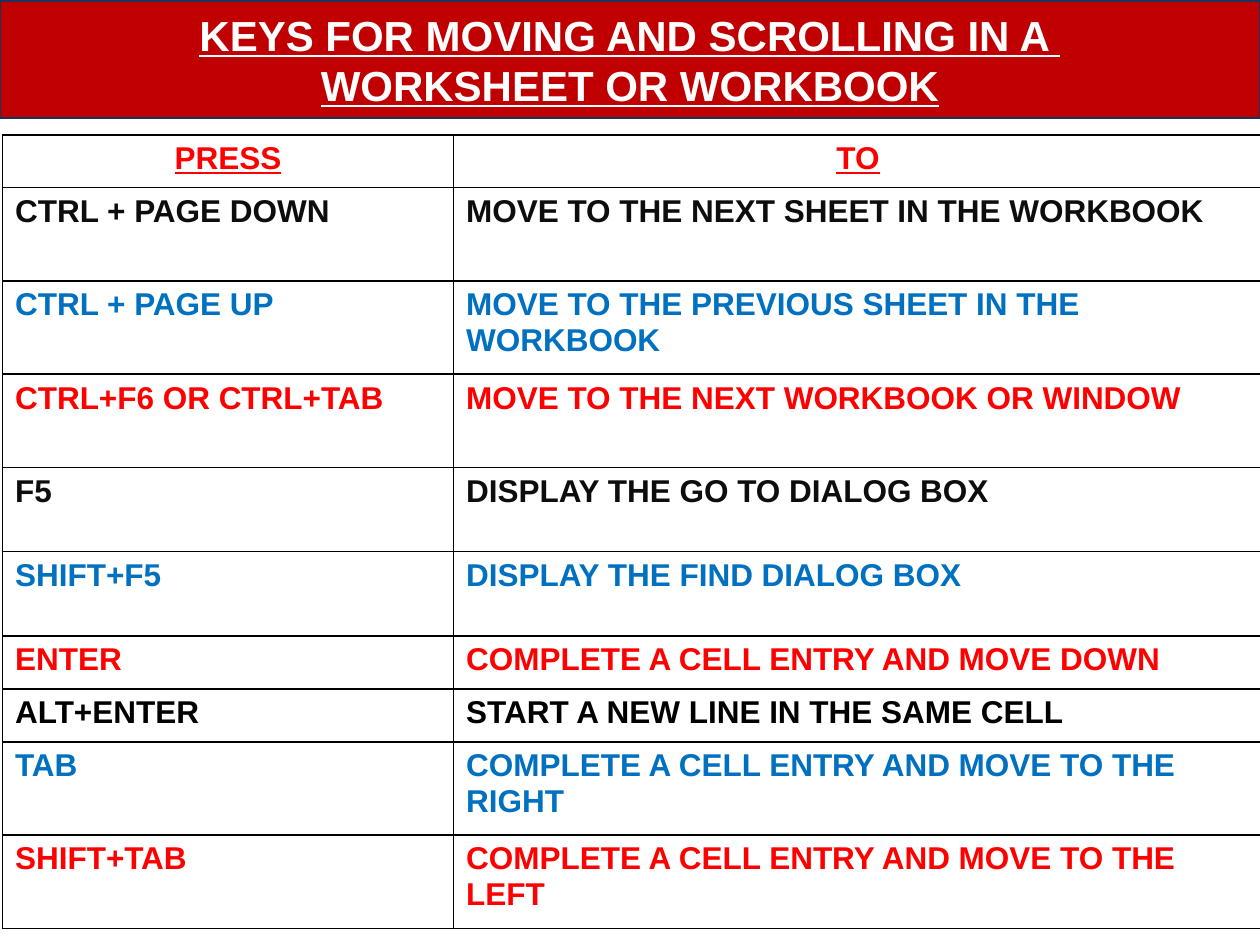
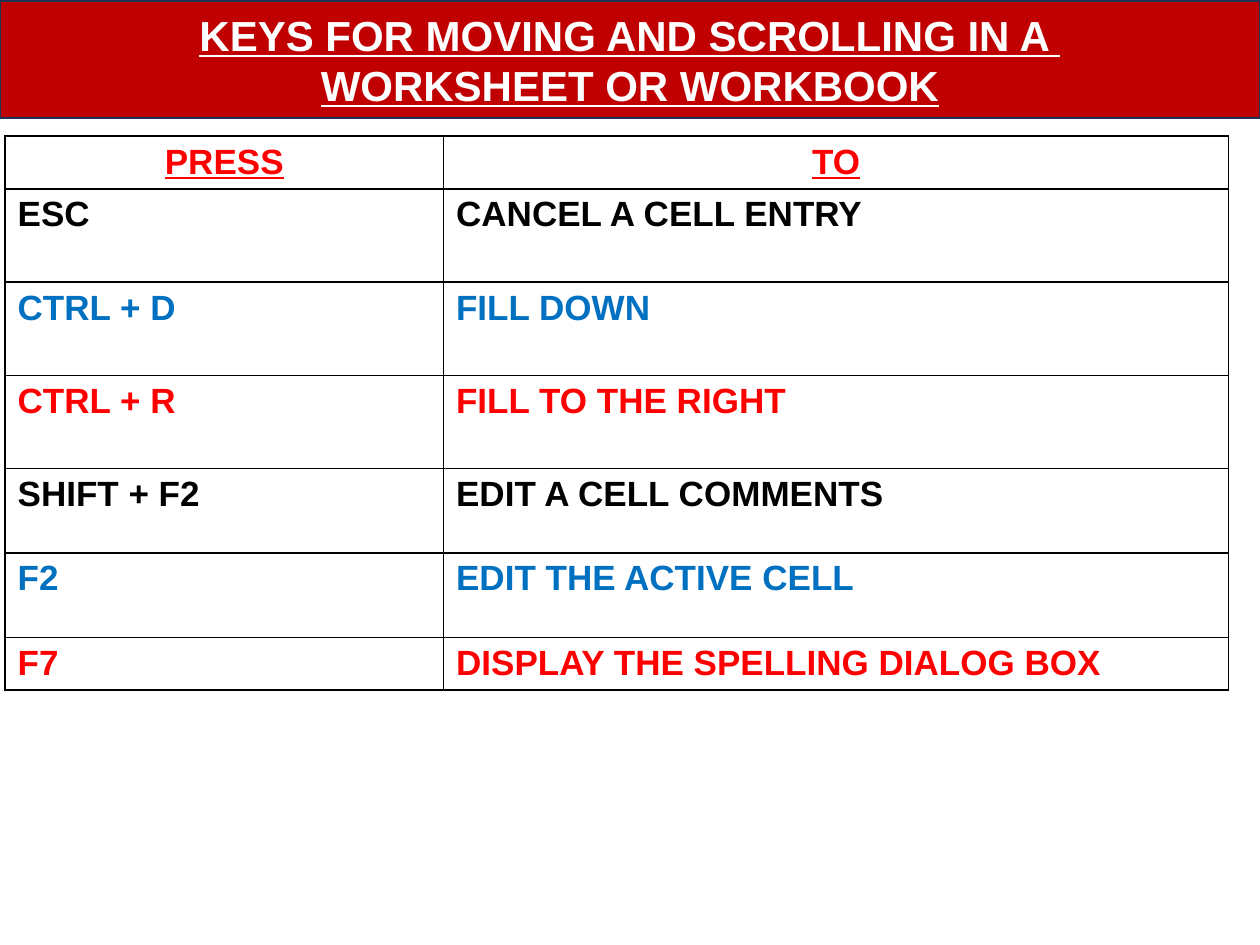
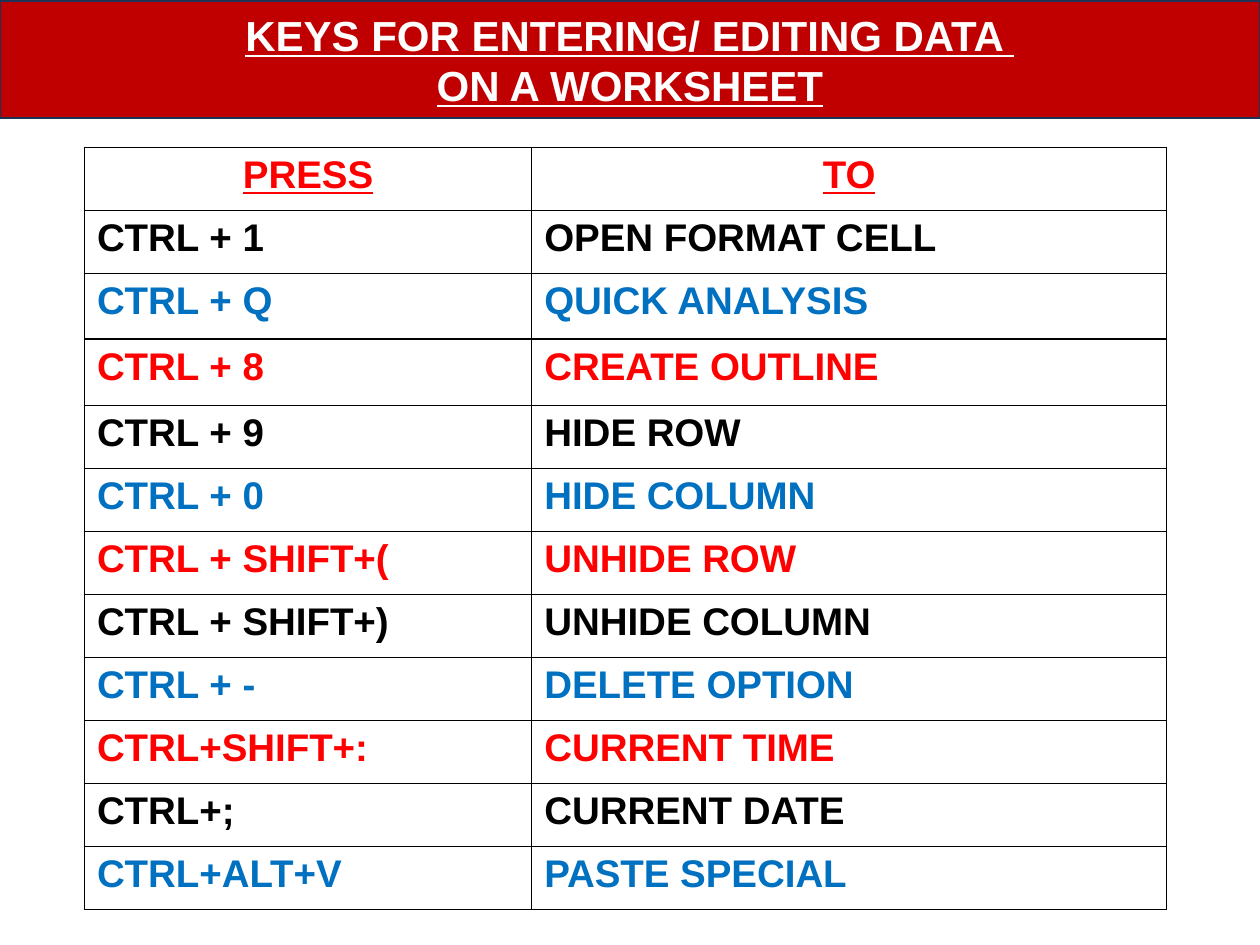
"""Build three slides of spreadsheet keyboard shortcuts."""
from itertools import cycle

from lxml.etree import SubElement
from pptx import Presentation
from pptx.dml.color import RGBColor
from pptx.enum.shapes import MSO_SHAPE as Preset
from pptx.enum.text import MSO_ANCHOR as Anchor, PP_ALIGN as Align
from pptx.oxml.ns import qn
from pptx.util import Inches, Pt

FONT = "Arial"
BLACK = RGBColor(0x00, 0x00, 0x00)
NEAR_BLACK = RGBColor(0x0D, 0x0D, 0x0D)
BLUE = RGBColor(0x00, 0x70, 0xC0)
RED = RGBColor(0xFF, 0x00, 0x00)
WHITE = RGBColor(0xFF, 0xFF, 0xFF)
BANNER_RED = RGBColor(0xC0, 0x00, 0x00)
BANNER_EDGE = RGBColor(0x1E, 0x32, 0x56)

MOVING_TITLE = "KEYS FOR MOVING AND SCROLLING IN A \nWORKSHEET OR WORKBOOK"
EDITING_TITLE = "KEYS FOR ENTERING/ EDITING DATA \vON A WORKSHEET"
HEADER = ("PRESS", "TO")

SHEETS = [
    {
        "title": MOVING_TITLE,
        "left": 0.02, "top": 1.07, "columns": [3.58, 6.42], "size": 18,
        "heights": [0.42, 0.74, 0.74, 0.74, 0.67, 0.67, 0.42, 0.42, 0.74, 0.74],
        "colors": [NEAR_BLACK, BLUE, RED] * 2 + [BLACK, BLUE, RED],
        "keys": [
            ("CTRL + PAGE DOWN", "MOVE TO THE NEXT SHEET IN THE WORKBOOK"),
            ("CTRL + PAGE UP", "MOVE TO THE PREVIOUS SHEET IN THE WORKBOOK"),
            ("CTRL+F6 OR CTRL+TAB", "MOVE TO THE NEXT WORKBOOK OR WINDOW"),
            ("F5", "DISPLAY THE GO TO DIALOG BOX"),
            ("SHIFT+F5", "DISPLAY THE FIND DIALOG BOX"),
            ("ENTER", "COMPLETE A CELL ENTRY AND MOVE DOWN"),
            ("ALT+ENTER", "START A NEW LINE IN THE SAME CELL"),
            ("TAB", "COMPLETE A CELL ENTRY AND MOVE TO THE RIGHT"),
            ("SHIFT+TAB", "COMPLETE A CELL ENTRY AND MOVE TO THE LEFT"),
        ],
    },
    {
        "title": MOVING_TITLE,
        "left": 0.04, "top": 1.08, "columns": [3.48, 6.23], "size": 20,
        "heights": [0.42, 0.74, 0.74, 0.74, 0.67, 0.67, 0.42],
        "colors": [BLACK, BLUE, RED],
        "keys": [
            ("ESC", "CANCEL A CELL ENTRY"),
            ("CTRL + D", "FILL DOWN"),
            ("CTRL + R", "FILL TO THE RIGHT"),
            ("SHIFT + F2", "EDIT A CELL COMMENTS"),
            ("F2", "EDIT THE ACTIVE CELL"),
            ("F7", "DISPLAY THE SPELLING DIALOG BOX"),
        ],
    },
    {
        "title": EDITING_TITLE,
        "left": 0.67, "top": 1.17, "columns": [3.55, 5.04], "size": 22,
        "heights": [0.5, 0.5, 0.52, 0.53] + [0.5] * 8,
        "colors": [BLACK, BLUE, RED],
        "keys": [
            ("CTRL + 1", "OPEN FORMAT CELL"),
            ("CTRL + Q", "QUICK ANALYSIS"),
            ("CTRL + 8", "CREATE OUTLINE"),
            ("CTRL + 9", "HIDE ROW"),
            ("CTRL + 0", "HIDE COLUMN"),
            ("CTRL + SHIFT+(", "UNHIDE ROW"),
            ("CTRL + SHIFT+)", "UNHIDE COLUMN"),
            ("CTRL + -", "DELETE OPTION"),
            ("CTRL+SHIFT+:", "CURRENT TIME"),
            ("CTRL+;", "CURRENT DATE"),
            ("CTRL+ALT+V", "PASTE SPECIAL"),
        ],
    },
]


def write_text(text_frame, text, size, color, heading=False):
    text_frame.text = text
    for paragraph in text_frame.paragraphs:
        paragraph.alignment = Align.CENTER if heading else Align.LEFT
        for run in paragraph.runs:
            run.font.name = FONT
            run.font.size = Pt(size)
            run.font.bold = True
            run.font.underline = heading
            run.font.color.rgb = color


def add_borders(cell):
    properties = cell._tc.get_or_add_tcPr()
    for side in ("a:lnL", "a:lnR", "a:lnT", "a:lnB"):
        line = SubElement(properties, qn(side), w=str(Pt(1)))
        fill = SubElement(line, qn("a:solidFill"))
        SubElement(fill, qn("a:srgbClr"), val=str(BLACK))


presentation = Presentation()
presentation.slide_width = Inches(10)
presentation.slide_height = Inches(7.5)

for sheet in SHEETS:
    slide = presentation.slides.add_slide(presentation.slide_layouts[6])

    rows = [HEADER] + sheet["keys"]
    table = slide.shapes.add_table(
        len(rows), len(HEADER), Inches(sheet["left"]), Inches(sheet["top"]),
        Inches(sum(sheet["columns"])), Inches(sum(sheet["heights"]))).table
    table.first_row = False
    table.horz_banding = False
    for column, width in zip(table.columns, sheet["columns"]):
        column.width = Inches(width)

    row_colors = cycle(sheet["colors"])
    for index, (row, height, texts) in enumerate(zip(table.rows, sheet["heights"], rows)):
        row.height = Inches(height)
        heading = index == 0
        color = RED if heading else next(row_colors)
        for cell, text in zip(row.cells, texts):
            write_text(cell.text_frame, text, size=sheet["size"], color=color, heading=heading)
            add_borders(cell)
            cell.fill.background()

    banner = slide.shapes.add_shape(
        Preset.RECTANGLE, Inches(0), Inches(0.01), Inches(10), Inches(0.93))
    banner.shadow.inherit = False
    banner.fill.solid()
    banner.fill.fore_color.rgb = BANNER_RED
    banner.line.color.rgb = BANNER_EDGE
    banner.line.width = Pt(1)
    banner.text_frame.word_wrap = True
    banner.text_frame.vertical_anchor = Anchor.MIDDLE
    write_text(banner.text_frame, sheet["title"], size=24, color=WHITE, heading=True)

presentation.save("out.pptx")
